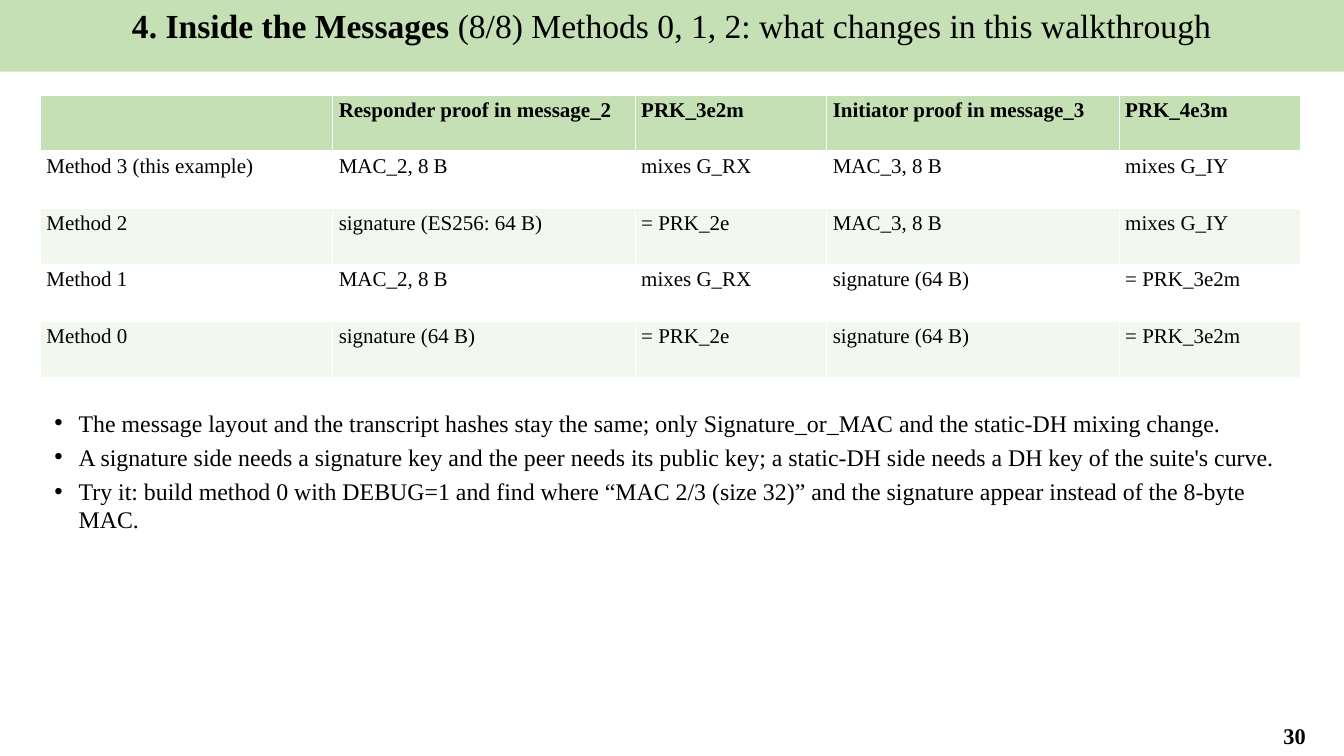
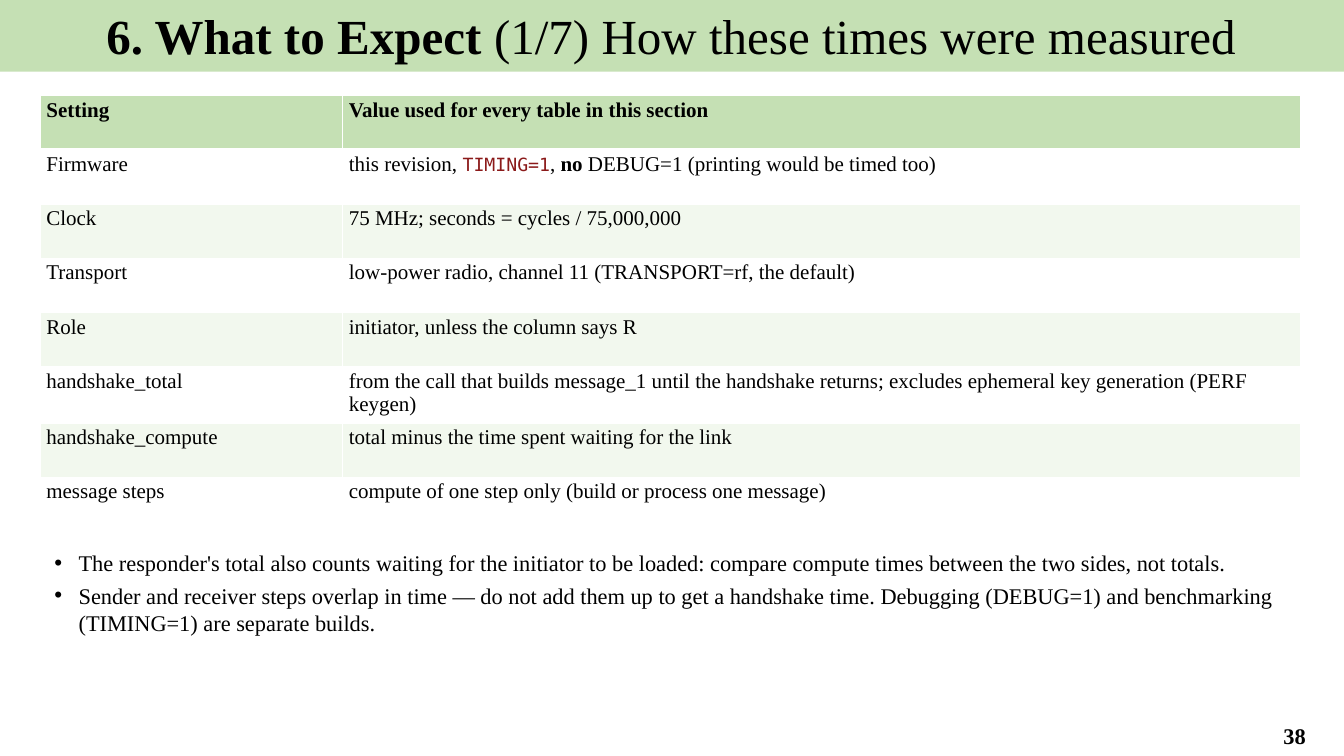
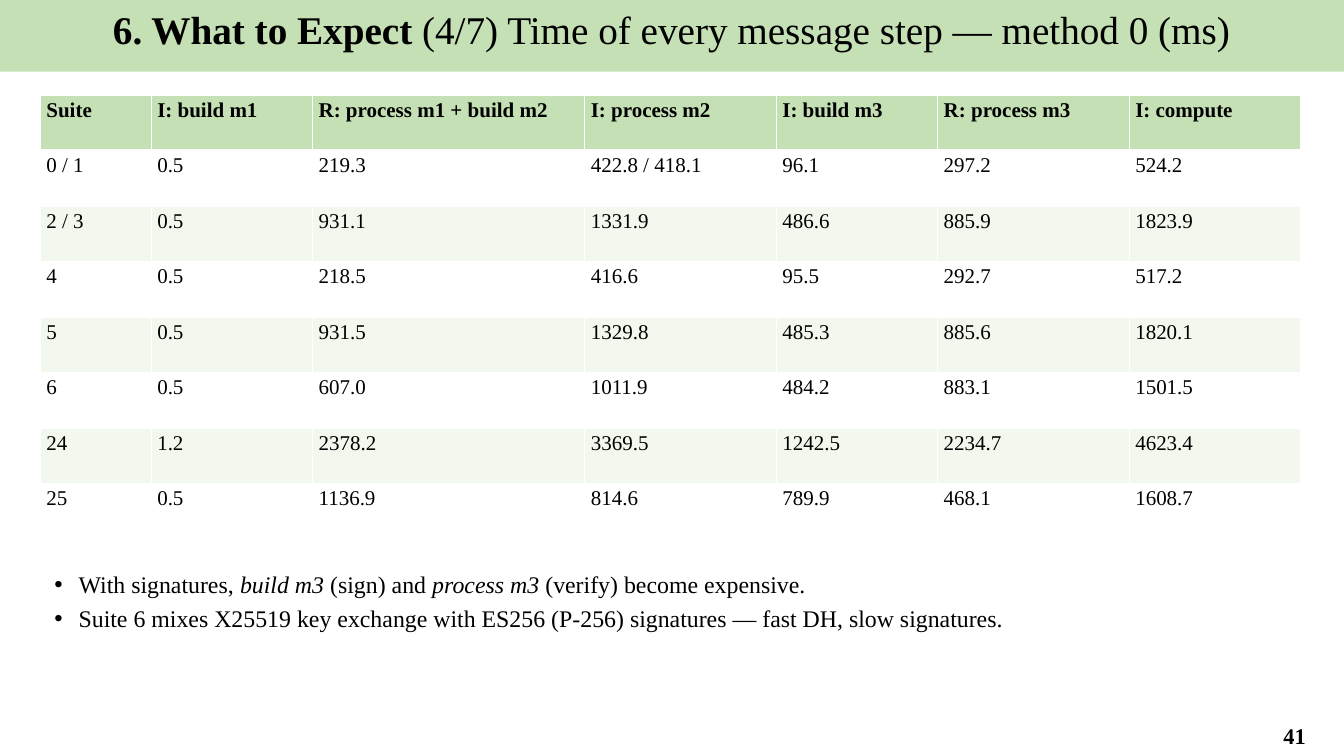
from lxml.etree import SubElement
from pptx import Presentation
from pptx.dml.color import RGBColor
from pptx.enum.text import MSO_ANCHOR, MSO_AUTO_SIZE, PP_ALIGN
from pptx.oxml.ns import qn
from pptx.util import Emu, Pt

EMU_PER_PX = 9144
COLORS = {"band": "C5E0B4", "stripe": "F2F8EE", "paper": "FFFFFF", "text": "000000", "code": "8B1A1A"}
PLAIN = {"name": "Times New Roman", "bold": False, "italic": False}
STYLES = {
    "plain": PLAIN,
    "bold": {**PLAIN, "bold": True},
    "italic": {**PLAIN, "italic": True},
    "code": {**PLAIN, "name": "DejaVu Sans Mono", "size": Pt(13)},
}
BAND_BOX = (-1, 0, 1334, 71)
NUMBER_BOX = (1235, 710, 98, 39)

SLIDES = [
    {
        "title": ("4. Inside the Messages ", "(8/8) Methods 0, 1, 2: what changes in this walkthrough"),
        "title_size": 24,
        "number": "30",
        "table_box": (40, 95, 1250, 280),
        "columns": [290, 300, 190, 290, 180],
        "rows": [
            ["", "Responder proof in message_2", "PRK_3e2m", "Initiator proof in message_3", "PRK_4e3m"],
            ["Method 3 (this example)", "MAC_2, 8 B", "mixes G_RX", "MAC_3, 8 B", "mixes G_IY"],
            ["Method 2", "signature (ES256: 64 B)", "= PRK_2e", "MAC_3, 8 B", "mixes G_IY"],
            ["Method 1", "MAC_2, 8 B", "mixes G_RX", "signature (64 B)", "= PRK_3e2m"],
            ["Method 0", "signature (64 B)", "= PRK_2e", "signature (64 B)", "= PRK_3e2m"],
        ],
        "notes_box": (40, 400, 1250, 290),
        "notes_size": 17,
        "notes": [
            "The message layout and the transcript hashes stay the same; only Signature_or_MAC and the static-DH mixing change.",
            "A signature side needs a signature key and the peer needs its public key; a static-DH side needs a DH key of the suite's curve.",
            "Try it: build method 0 with DEBUG=1 and find where “MAC 2/3 (size 32)” and the signature appear instead of the 8-byte MAC.",
        ],
    },
    {
        "title": ("6. What to Expect ", "(1/7) How these times were measured"),
        "title_size": 35,
        "number": "38",
        "table_box": (40, 95, 1250, 430),
        "columns": [300, 950],
        "rows": [
            ["Setting", "Value used for every table in this section"],
            ["Firmware", [("this revision, ", "plain"), ("TIMING=1", "code"), (", ", "plain"), ("no", "bold"),
                          (" DEBUG=1 (printing would be timed too)", "plain")]],
            ["Clock", "75 MHz; seconds = cycles / 75,000,000"],
            ["Transport", "low-power radio, channel 11 (TRANSPORT=rf, the default)"],
            ["Role", "initiator, unless the column says R"],
            ["handshake_total", "from the call that builds message_1 until the handshake returns; "
                                "excludes ephemeral key generation (PERF keygen)"],
            ["handshake_compute", "total minus the time spent waiting for the link"],
            ["message steps", "compute of one step only (build or process one message)"],
        ],
        "notes_box": (40, 540, 1250, 160),
        "notes_size": 16,
        "notes": [
            "The responder's total also counts waiting for the initiator to be loaded: "
            "compare compute times between the two sides, not totals.",
            "Sender and receiver steps overlap in time — do not add them up to get a handshake time. "
            "Debugging (DEBUG=1) and benchmarking (TIMING=1) are separate builds.",
        ],
    },
    {
        "title": ("6. What to Expect ", "(4/7) Time of every message step — method 0 (ms)"),
        "title_size": 28,
        "number": "41",
        "table_box": (40, 95, 1250, 440),
        "columns": [110, 160, 270, 190, 160, 190, 170],
        "rows": [
            ["Suite", "I: build m1", "R: process m1 + build m2", "I: process m2", "I: build m3", "R: process m3", "I: compute"],
            ["0 / 1", "0.5", "219.3", "422.8 / 418.1", "96.1", "297.2", "524.2"],
            ["2 / 3", "0.5", "931.1", "1331.9", "486.6", "885.9", "1823.9"],
            ["4", "0.5", "218.5", "416.6", "95.5", "292.7", "517.2"],
            ["5", "0.5", "931.5", "1329.8", "485.3", "885.6", "1820.1"],
            ["6", "0.5", "607.0", "1011.9", "484.2", "883.1", "1501.5"],
            ["24", "1.2", "2378.2", "3369.5", "1242.5", "2234.7", "4623.4"],
            ["25", "0.5", "1136.9", "814.6", "789.9", "468.1", "1608.7"],
        ],
        "notes_box": (40, 560, 1250, 140),
        "notes_size": 17,
        "notes": [
            [("With signatures, ", "plain"), ("build m3", "italic"), (" (sign) and ", "plain"),
             ("process m3", "italic"), (" (verify) become expensive.", "plain")],
            "Suite 6 mixes X25519 key exchange with ES256 (P-256) signatures — fast DH, slow signatures.",
        ],
    },
]


def px(length):
    return Emu(round(length * EMU_PER_PX))


def color(name):
    return RGBColor.from_string(COLORS[name])


def set_attributes(target, values):
    for name, value in values.items():
        setattr(target, name, value)


def place(shape, box):
    set_attributes(shape, dict(zip(("left", "top", "width", "height"), map(px, box))))


def fill(target, name):
    target.fill.solid()
    target.fill.fore_color.rgb = color(name)


def write(paragraph, content, size, style="plain"):
    runs = [(content, style)] if isinstance(content, str) else content
    for text, run_style in runs:
        run = paragraph.add_run()
        run.text = text
        set_attributes(run.font, {"size": Pt(size), **STYLES[run_style]})
        run.font.color.rgb = color("code" if run_style == "code" else "text")


def add_title_band(slide, box, title, size):
    band = slide.shapes.title
    place(band, box)
    fill(band, "band")
    frame = band.text_frame
    set_attributes(frame, {"vertical_anchor": MSO_ANCHOR.TOP, "auto_size": MSO_AUTO_SIZE.NONE, "word_wrap": True})
    paragraph = frame.paragraphs[0]
    paragraph.alignment = PP_ALIGN.CENTER
    write(paragraph, list(zip(title, ("bold", "plain"))), size)


def add_page_number(slide, box, number):
    frame = slide.shapes.add_textbox(*map(px, box)).text_frame
    set_attributes(frame, {"vertical_anchor": MSO_ANCHOR.MIDDLE, "word_wrap": True})
    paragraph = frame.paragraphs[0]
    paragraph.alignment = PP_ALIGN.CENTER
    write(paragraph, number, 16, "bold")


def underline_cell(cell, width):
    properties = cell._tc.get_or_add_tcPr()
    line = SubElement(properties, qn("a:lnB"), w=str(Pt(width)))
    SubElement(SubElement(line, qn("a:solidFill")), qn("a:srgbClr"), val=COLORS["paper"])


def add_data_table(slide, box, columns, rows):
    table = slide.shapes.add_table(len(rows), len(columns), *map(px, box)).table
    table.horz_banding = False
    for column, width in zip(table.columns, columns):
        column.width = px(width)
    margins = {"margin_left": px(6), "margin_right": px(6), "margin_top": px(3), "margin_bottom": px(3)}
    for row_index, contents in enumerate(rows):
        table.rows[row_index].height = px(box[3] / len(rows))
        background = "band" if row_index == 0 else "paper" if row_index % 2 else "stripe"
        for column_index, content in enumerate(contents):
            cell = table.cell(row_index, column_index)
            set_attributes(cell, margins)
            if row_index == 0:
                underline_cell(cell, 3)
            fill(cell, background)
            if content:
                write(cell.text_frame.paragraphs[0], content, 15, "plain" if row_index else "bold")


def add_notes_list(slide, box, notes, size):
    body = slide.placeholders[1]
    place(body, box)
    frame = body.text_frame
    set_attributes(frame, {"auto_size": MSO_AUTO_SIZE.NONE, "word_wrap": True})
    for index, note in enumerate(notes):
        paragraph = frame.add_paragraph() if index else frame.paragraphs[0]
        properties = paragraph._p.get_or_add_pPr()
        properties.set("marL", str(px(28)))
        properties.set("indent", str(px(-24)))
        set_attributes(paragraph, {"space_before": Pt(0), "space_after": Pt(4)})
        write(paragraph, note, size)


def add_table_slide(presentation, content):
    slide = presentation.slides.add_slide(presentation.slide_layouts[1])
    add_title_band(slide, BAND_BOX, content["title"], content["title_size"])
    add_page_number(slide, NUMBER_BOX, content["number"])
    add_data_table(slide, content["table_box"], content["columns"], content["rows"])
    add_notes_list(slide, content["notes_box"], content["notes"], content["notes_size"])


def main():
    presentation = Presentation()
    set_attributes(presentation, {"slide_width": px(1333), "slide_height": px(750)})
    for content in SLIDES:
        add_table_slide(presentation, content)
    presentation.save("out.pptx")


if __name__ == "__main__":
    main()
